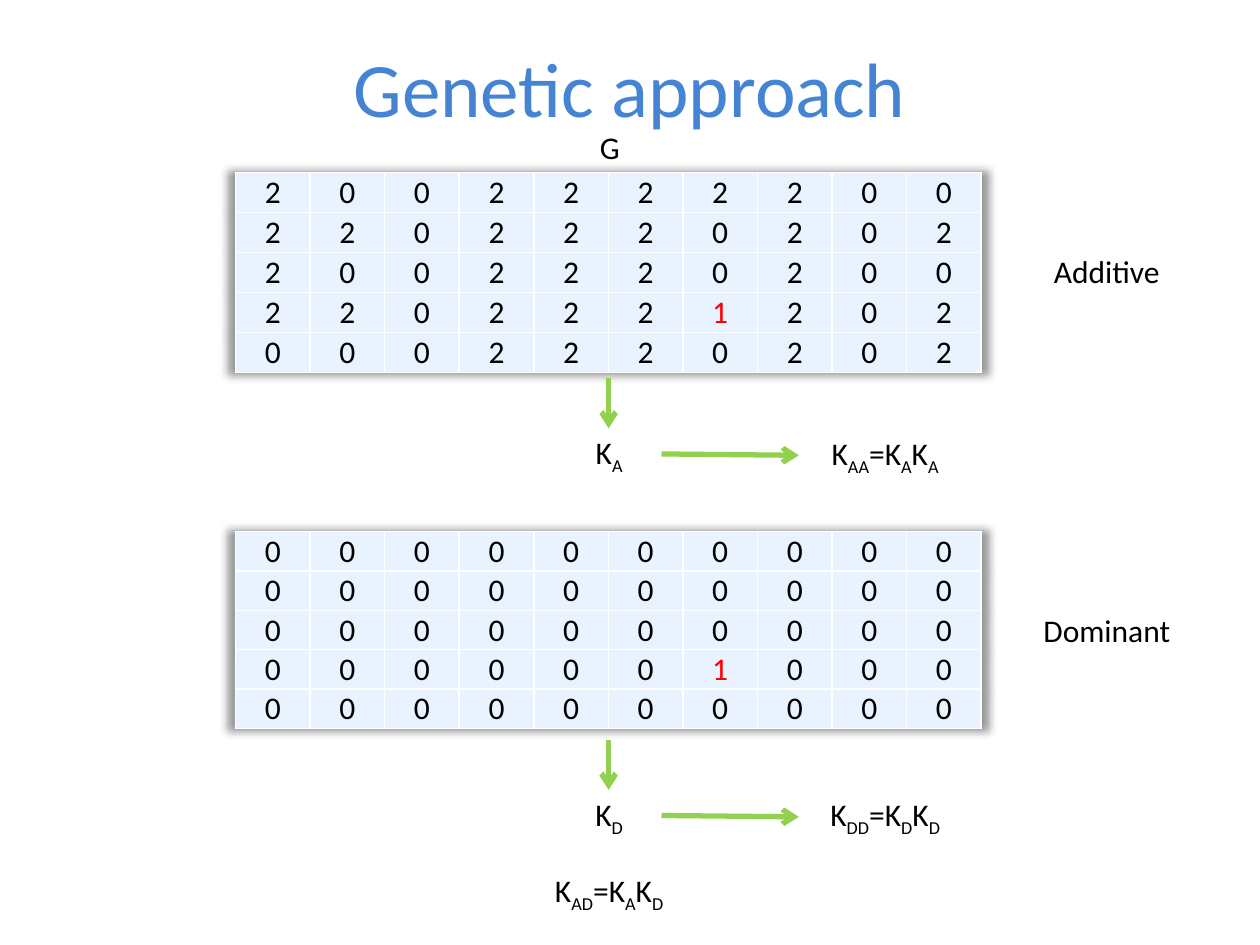
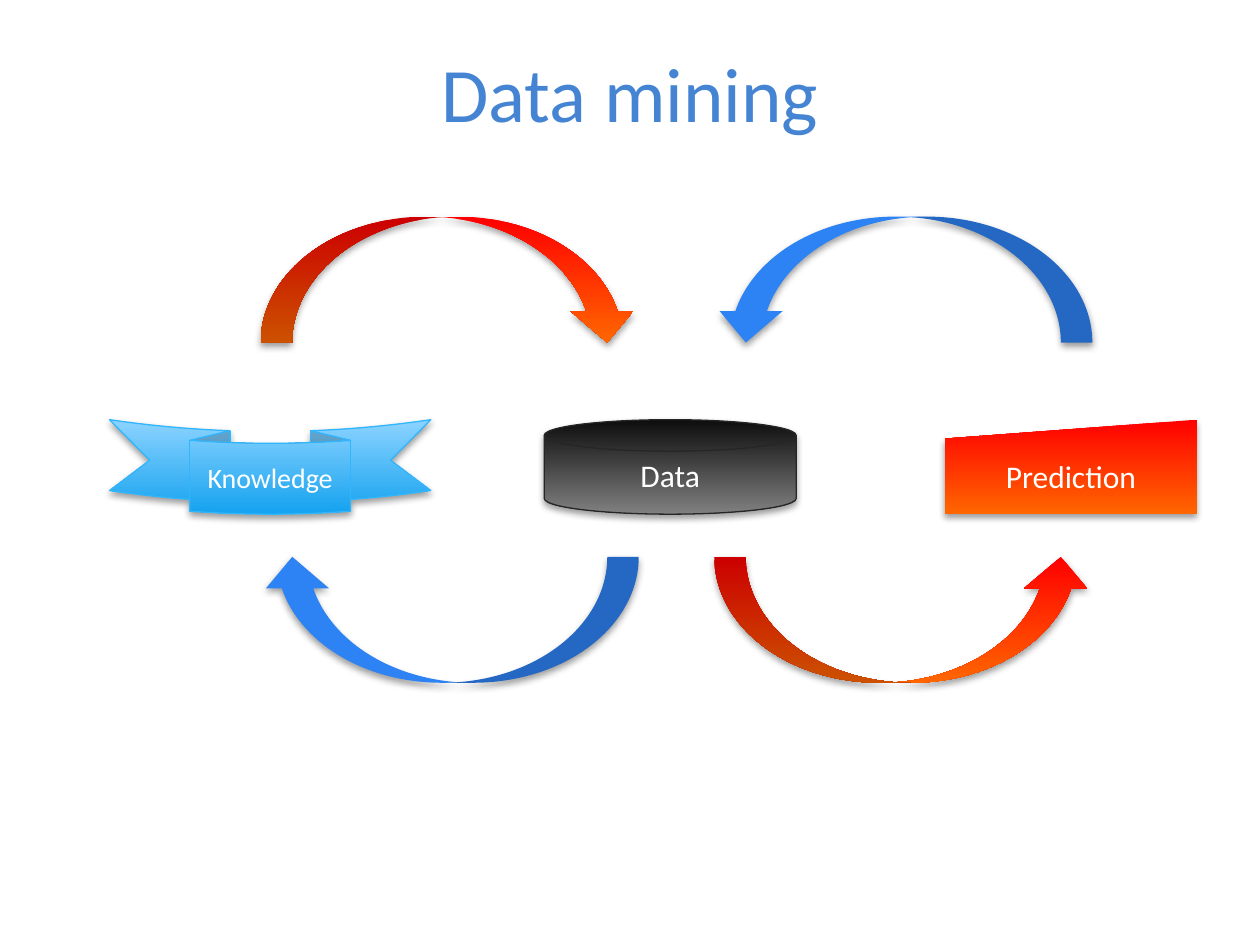
from lxml.etree import SubElement
from pptx import Presentation
from pptx.dml.color import RGBColor
from pptx.enum.shapes import MSO_CONNECTOR, MSO_SHAPE
from pptx.enum.text import MSO_ANCHOR, PP_ALIGN
from pptx.oxml.ns import qn
from pptx.util import Pt

FONT = "Calibri"
BLACK, WHITE, RED, ORANGE = "000000", "FFFFFF", "FF0000", "FF6600"
TITLE, CELL, GREEN, BLUE = "4584D3", "E8F3FF", "92D050", "2D83F4"
FIRE = (RED, ORANGE)

ADDITIVE = ["2002222200", "2202220202", "2002220200", "2202221202", "0002220202"]
DOMINANT = ["0000000000", "0000000000", "0000000000", "0000001000", "0000000000"]


def rgb(code):
    return RGBColor.from_string(code)


def style(par, size, color):
    par.alignment = PP_ALIGN.CENTER
    par.font.name = FONT
    par.font.size = Pt(size)
    par.font.color.rgb = rgb(color)


def add_slide(deck, text, top):
    slide = deck.slides.add_slide(deck.slide_layouts[5])
    title = slide.shapes.title
    title.left, title.top, title.width, title.height = Pt(36), Pt(top), Pt(648), Pt(98.6)
    title.text_frame.text = text
    title.text_frame.vertical_anchor = MSO_ANCHOR.MIDDLE
    style(title.text_frame.paragraphs[0], 44, TITLE)
    return slide


def add_label(slide, text, left, top, width, wrap=True):
    """Add centred text in which every second part between bars is a subscript."""
    box = slide.shapes.add_textbox(Pt(left), Pt(top), Pt(width), Pt(29))
    box.text_frame.word_wrap = wrap
    par = box.text_frame.paragraphs[0]
    for place, part in enumerate(text.split("|")):
        run = par.add_run()
        run.text = part
        if place % 2:
            run._r.get_or_add_rPr().set("baseline", "-25000")
    style(par, 18, BLACK)


def add_arrow(slide, x1, y1, x2, y2):
    arrow = slide.shapes.add_connector(
        MSO_CONNECTOR.STRAIGHT, Pt(x1), Pt(y1), Pt(x2), Pt(y2))
    arrow.line.color.rgb = rgb(GREEN)
    arrow.line.width = Pt(3)
    SubElement(arrow.line._get_or_add_ln(), qn("a:tailEnd"), type="arrow")
    SubElement(arrow._element.spPr, qn("a:effectLst"))


def add_shadow(effects, alpha, **kind):
    shade = SubElement(effects, qn("a:outerShdw"), rotWithShape="0", **kind)
    color = SubElement(shade, qn("a:srgbClr"), val=BLACK)
    SubElement(color, qn("a:alpha"), val=str(alpha * 1000))


def add_borders(cell):
    props = cell._tc.get_or_add_tcPr()
    for place, side in enumerate(("lnL", "lnR", "lnT", "lnB")):
        line = SubElement(props, qn(f"a:{side}"), w=str(Pt(1)))
        fill = SubElement(line, qn("a:solidFill"))
        SubElement(fill, qn("a:srgbClr"), val=WHITE)
        props.insert(place, line)


def add_matrix(slide, rows, top, pitch):
    """Draw a genotype matrix with the heterozygous value 1 in red."""
    table = slide.shapes.add_table(
        len(rows), len(rows[0]), Pt(134.6), Pt(top), Pt(426.2), Pt(pitch * len(rows))).table
    table.first_row = table.horz_banding = False
    props = table._tbl.tblPr
    effects = SubElement(props, qn("a:effectLst"))
    props.insert(0, effects)
    add_shadow(effects, 40, blurRad=str(Pt(5)), sx="102000", sy="102000", algn="ctr")
    for r, row in enumerate(rows):
        table.rows[r].height = Pt(pitch)
        for c, value in enumerate(row):
            cell = table.cell(r, c)
            cell.margin_left = cell.margin_right = cell.margin_top = Pt(0.5)
            cell.margin_bottom = 0
            cell.vertical_anchor = MSO_ANCHOR.MIDDLE
            cell.fill.solid()
            cell.fill.fore_color.rgb = rgb(CELL)
            add_borders(cell)
            cell.text = value
            style(cell.text_frame.paragraphs[0], 18, RED if value == "1" else BLACK)


def add_panel(slide, name, rows, top, pitch, base, kernel, square):
    """Draw a matrix, its name and, from base down, the kernels made from it."""
    add_matrix(slide, rows, top, pitch)
    add_label(slide, name, 581, top + 41.8, 103)
    add_arrow(slide, 347.8, base, 347.8, base + 28.8)
    add_label(slide, kernel, 296.6, base + 28, 103)
    add_label(slide, square, 450.7, base + 28.4, 110.2)
    add_arrow(slide, 378, base + 43.4, 456.5, base + 44.2)


def add_form(slide, kind, left, top, width, height, fill, line=None, turn=0):
    """Add a shadowed shape; a pair of fill colours runs from top to bottom."""
    form = slide.shapes.add_shape(kind, Pt(left), Pt(top), Pt(width), Pt(height))
    form.rotation = turn
    if isinstance(fill, tuple):
        form.fill.gradient()
        form.fill.gradient_angle = 270
        for stop, color in zip(form.fill.gradient_stops, fill):
            stop.color.rgb = rgb(color)
    else:
        form.fill.solid()
        form.fill.fore_color.rgb = rgb(fill)
    if line:
        form.line.color.rgb = rgb(line)
        form.line.width = Pt(0.75)
    else:
        form.line.fill.background()
    form.shadow.inherit = False
    add_shadow(form._element.spPr.find(qn("a:effectLst")), 38,
               blurRad=str(Pt(4)), dist=str(Pt(2)), dir="5400000")
    return form


def add_node(slide, text, kind, left, width, fill, line=None, size=18):
    node = add_form(slide, kind, left, 239.8, width, 54, fill, line)
    node.text_frame.text = text
    node.text_frame.vertical_anchor = MSO_ANCHOR.MIDDLE
    style(node.text_frame.paragraphs[0], size, WHITE)


def draw_genetic(deck):
    slide = add_slide(deck, "Genetic approach", 0)
    add_label(slide, "G", 335.5, 69.8, 26, wrap=False)
    add_panel(slide, "Additive", ADDITIVE, 98.6, 22.86, 216, "K|A", "K|AA|=K|A|K|A")
    add_panel(slide, "Dominant", DOMINANT, 303.8, 22.5, 422.6, "K|D", "K|DD|=K|D|K|D")
    add_label(slide, "K|AD|=K|A|K|D", 293, 494, 110.2)


def draw_mining(deck):
    slide = add_slide(deck, "Data mining", 2.9)
    add_form(slide, MSO_SHAPE.CURVED_RIGHT_ARROW, 480.2, 51.8, 72, 216, BLUE, turn=90)
    add_form(slide, MSO_SHAPE.CURVED_LEFT_ARROW, 221, 246.2, 72, 216, BLUE, turn=90)
    add_form(slide, MSO_SHAPE.CURVED_UP_ARROW, 408.2, 318.2, 216, 72, FIRE)
    add_form(slide, MSO_SHAPE.CURVED_DOWN_ARROW, 149, 123.8, 216, 72, FIRE)
    add_node(slide, "Data", MSO_SHAPE.FLOWCHART_MAGNETIC_DISK, 311, 144,
             ("0D0D0D", "808080"), "262626")
    add_node(slide, "Knowledge", MSO_SHAPE.CURVED_DOWN_RIBBON, 62.6, 183.6,
             ("8CD3FF", "14A2EF"), "31B6FD", 16)
    add_node(slide, "Prediction", MSO_SHAPE.FLOWCHART_MANUAL_INPUT, 540, 144, FIRE)


def main():
    deck = Presentation()
    deck.slide_width, deck.slide_height = Pt(720), Pt(540)
    draw_genetic(deck)
    draw_mining(deck)
    deck.save("out.pptx")


if __name__ == "__main__":
    main()
